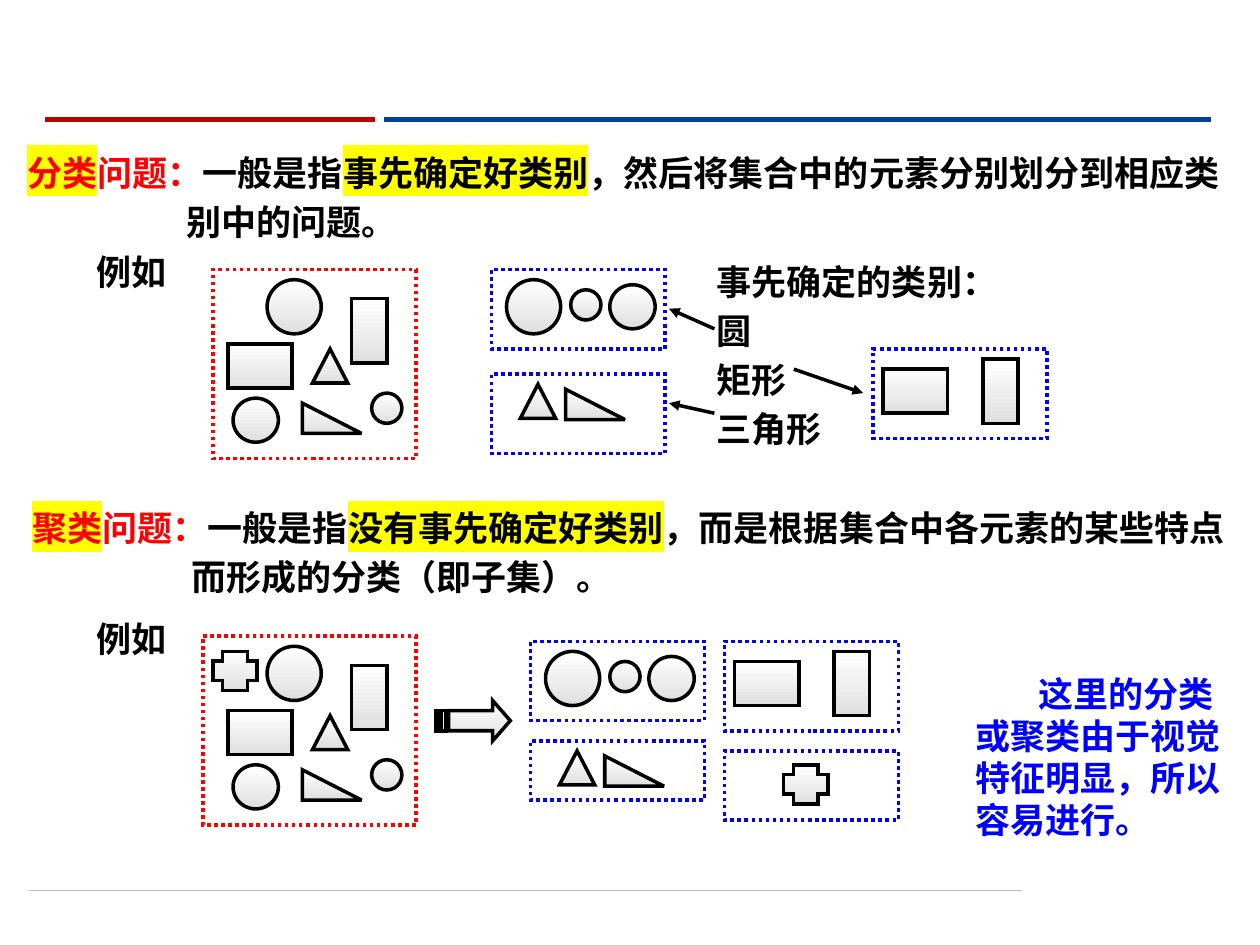
from typing import NamedTuple, Optional

import pptx
import pptx.dml.color
import pptx.enum.dml
import pptx.enum.shapes
import pptx.enum.text
import pptx.oxml
import pptx.oxml.ns
import pptx.util

COLOURS = {
    "black": "000000", "white": "FFFFFF", "grey": "DFDFDF", "rule": "BFBFBF",
    "red": "FF0000", "blue": "0000FF", "yellow": "FFFF00",
    "dark red": "C00000", "dark blue": "004299",
}
PRESET = pptx.enum.shapes.MSO_SHAPE
A_NS = pptx.oxml.ns.nsdecls("a")

presentation = pptx.Presentation()
presentation.slide_width = pptx.util.Inches(10)
presentation.slide_height = pptx.util.Inches(7.5)
slide = presentation.slides.add_slide(presentation.slide_layouts[6])

# The slide is a grid of 1000 columns and 750 rows with square cells
CELL = presentation.slide_width // 1000


class Figure(NamedTuple):
    preset: int
    width: int
    height: int


class Placed(NamedTuple):
    figure: Figure
    column: int
    row: int


class Frame(NamedTuple):
    column: int
    row: int
    width: int
    height: int
    colour: str
    members: tuple


class Line(NamedTuple):
    start: tuple
    end: tuple
    colour: str
    weight: float
    arrow: bool = False


class Run(NamedTuple):
    text: str
    colour: str = "black"
    highlight: Optional[str] = None


class Paragraph(NamedTuple):
    runs: tuple
    margin: int = 0
    first_line: int = 0


class TextBlock(NamedTuple):
    column: int
    row: int
    width: int
    height: int
    paragraphs: tuple


def rgb(name: str) -> pptx.dml.color.RGBColor:
    return pptx.dml.color.RGBColor.from_string(COLOURS[name])


def outline(shape, colour: str) -> None:
    shape.shadow.inherit = False
    shape.line.color.rgb = rgb(colour)
    shape.line.width = pptx.util.Pt(2)


def miter(shape) -> None:
    shape.line._get_or_add_ln().append(
        pptx.oxml.parse_xml(f'<a:miter {A_NS} lim="800000"/>'))


def shade(shape) -> None:
    outline(shape, "black")
    miter(shape)
    shape.fill.gradient()
    shape.fill.gradient_angle = 270
    for stop, position, colour in zip(shape.fill.gradient_stops, (0, 1), ("white", "grey")):
        stop.position = position
        stop.color.rgb = rgb(colour)


def add_preset(preset: int, *box: int):
    return slide.shapes.add_shape(preset, *(length * CELL for length in box))


def draw_frame(frame: Frame) -> None:
    for figure, column, row in frame.members:
        shade(add_preset(figure.preset, frame.column + column, frame.row + row,
                         figure.width, figure.height))
    border = add_preset(PRESET.RECTANGLE, *frame[:4])
    border.fill.background()
    outline(border, frame.colour)
    border.line.dash_style = pptx.enum.dml.MSO_LINE.ROUND_DOT
    miter(border)


def draw_line(line: Line) -> None:
    connector = slide.shapes.add_connector(
        pptx.enum.shapes.MSO_CONNECTOR.STRAIGHT,
        *(length * CELL for length in line.start + line.end))
    connector.line.color.rgb = rgb(line.colour)
    connector.line.width = pptx.util.Pt(line.weight)
    if line.arrow:
        connector.line._get_or_add_ln().append(
            pptx.oxml.parse_xml(f'<a:tailEnd {A_NS} type="triangle"/>'))
    connector._element.spPr.append(pptx.oxml.parse_xml(f"<a:effectLst {A_NS}/>"))


def draw_text(block: TextBlock) -> None:
    box = slide.shapes.add_textbox(*(length * CELL for length in block[:4]))
    frame = box.text_frame
    frame.word_wrap = True
    frame.auto_size = pptx.enum.text.MSO_AUTO_SIZE.SHAPE_TO_FIT_TEXT
    for index, content in enumerate(block.paragraphs):
        paragraph = frame.add_paragraph() if index else frame.paragraphs[0]
        paragraph.space_before = pptx.util.Pt(4)
        properties = paragraph._p.get_or_add_pPr()
        properties.set("marL", str(content.margin * CELL))
        properties.set("indent", str(content.first_line * CELL))
        for part in content.runs:
            run = paragraph.add_run()
            run.text = part.text
            run.font.size = pptx.util.Pt(20)
            run.font.bold = True
            run.font.name = "Arial"
            run.font.color.rgb = rgb(part.colour)
            if part.highlight:
                fill = run._r.rPr.find(pptx.oxml.ns.qn("a:solidFill"))
                fill.addnext(pptx.oxml.parse_xml(
                    f'<a:highlight {A_NS}><a:srgbClr val="{COLOURS[part.highlight]}"/>'
                    "</a:highlight>"))


def definition(column: int, row: int, term: str, key: str, rest: str, ending: str) -> TextBlock:
    first = (Run(term, "red", "yellow"), Run("问题：", "red"), Run("一般是指"),
             Run(key, highlight="yellow"), Run(rest))
    return TextBlock(column, row, 973, 77,
                     (Paragraph(first), Paragraph((Run(ending),), margin=126)))


# Figures and the groups they form, placed relative to their frame
BIG_CIRCLE = Figure(PRESET.OVAL, 43, 43)
MIDDLE_CIRCLE = Figure(PRESET.OVAL, 36, 35)
SMALL_CIRCLE = Figure(PRESET.OVAL, 24, 24)
WIDE = Figure(PRESET.RECTANGLE, 51, 35)
TALL = Figure(PRESET.RECTANGLE, 28, 51)
TRIANGLE = Figure(PRESET.ISOSCELES_TRIANGLE, 28, 27)
RIGHT_TRIANGLE = Figure(PRESET.RIGHT_TRIANGLE, 47, 24)
PLUS = Figure(PRESET.CROSS, 35, 31)

circles = (Placed(BIG_CIRCLE, 12, 8), Placed(SMALL_CIRCLE, 63, 16), Placed(MIDDLE_CIRCLE, 94, 12))
triangles = (Placed(TRIANGLE, 23, 8), Placed(RIGHT_TRIANGLE, 59, 12))
rectangles = (Placed(WIDE, 8, 16), Placed(TALL, 87, 8))
mixed = (Placed(MIDDLE_CIRCLE, 16, 102), Placed(BIG_CIRCLE, 43, 8), Placed(SMALL_CIRCLE, 126, 98),
         Placed(WIDE, 12, 59), Placed(TALL, 110, 23), Placed(TRIANGLE, 79, 63),
         Placed(RIGHT_TRIANGLE, 71, 106))
mixed_with_plus = tuple(Placed(figure, column + 8, row) for figure, column, row in mixed) + (
    Placed(PLUS, 8, 12),)

frames = (
    # Classification
    Frame(169, 214, 161, 150, "red", mixed),
    Frame(390, 214, 138, 63, "blue", circles),
    Frame(390, 297, 138, 63, "blue", triangles),
    Frame(693, 277, 138, 71, "blue", rectangles),
    # Clustering
    Frame(161, 505, 169, 150, "red", mixed_with_plus),
    Frame(421, 509, 138, 63, "blue", circles),
    Frame(421, 588, 138, 47, "blue", triangles),
    Frame(575, 509, 138, 71, "blue", rectangles),
    Frame(575, 596, 138, 55, "blue", (Placed(PLUS, 47, 11),)),
)

lines = (
    # Page rules
    Line((23, 707), (811, 707), "rule", 0.5),
    Line((305, 95), (961, 95), "dark blue", 3),
    Line((36, 95), (298, 95), "dark red", 3),
    # From each class name to its group
    Line((567, 261), (531, 245), "black", 2, True),
    Line((630, 293), (685, 312), "black", 2, True),
    Line((567, 328), (531, 320), "black", 2, True),
)

class_names = ("事先确定的类别：", "圆", "矩形", "三角形")
example = (Paragraph((Run("例如"),)),)
remark = Run("这里的分类或聚类由于视觉特征明显，所以容易进行。", "blue")
texts = (
    definition(12, 115, "分类", "事先确定好类别", "，然后将集合中的元素分别划分到相应类", "别中的问题。"),
    TextBlock(67, 194, 90, 43, example),
    TextBlock(559, 202, 260, 143, tuple(Paragraph((Run(name),)) for name in class_names)),
    definition(16, 397, "聚类", "没有事先确定好类别", "，而是根据集合中各元素的某些特点", "而形成的分类（即子集）。"),
    TextBlock(67, 485, 90, 43, example),
    TextBlock(764, 529, 220, 143, (Paragraph((remark,), first_line=50),)),
)

for item in lines:
    draw_line(item)
for item in frames:
    draw_frame(item)
for item in texts:
    draw_text(item)

# Striped arrow from the mixed set to its clusters
builder = slide.shapes.build_freeform(391, 556, scale=CELL)
builder.add_line_segments(
    [(391, 564), (356, 564), (356, 580), (391, 580), (391, 588), (405, 572)], close=True)
for left, right in ((350, 354), (346, 348)):
    builder.move_to(left, 564)
    builder.add_line_segments([(left, 580), (right, 580), (right, 564)], close=True)
shade(builder.convert_to_shape())

presentation.save("out.pptx")
